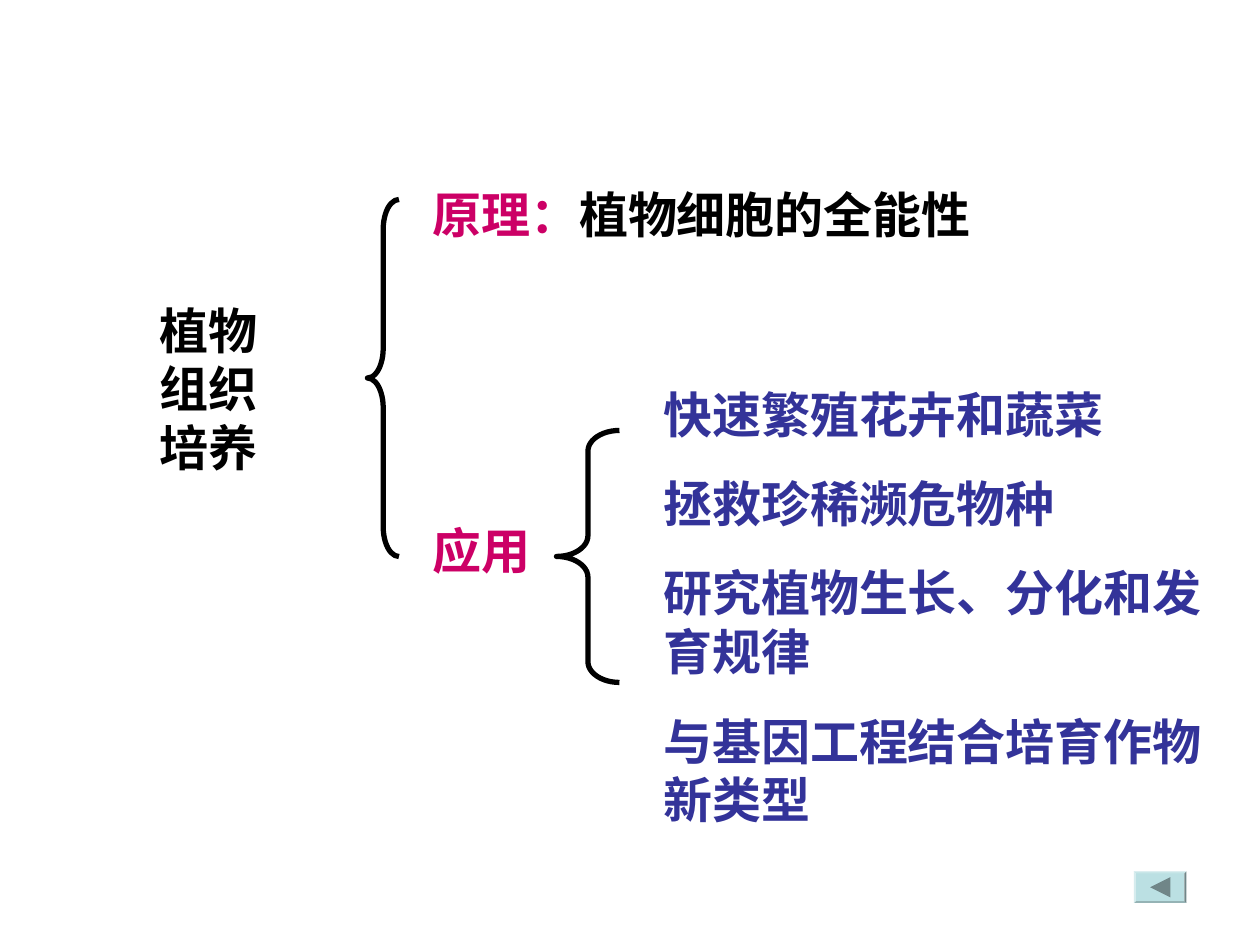
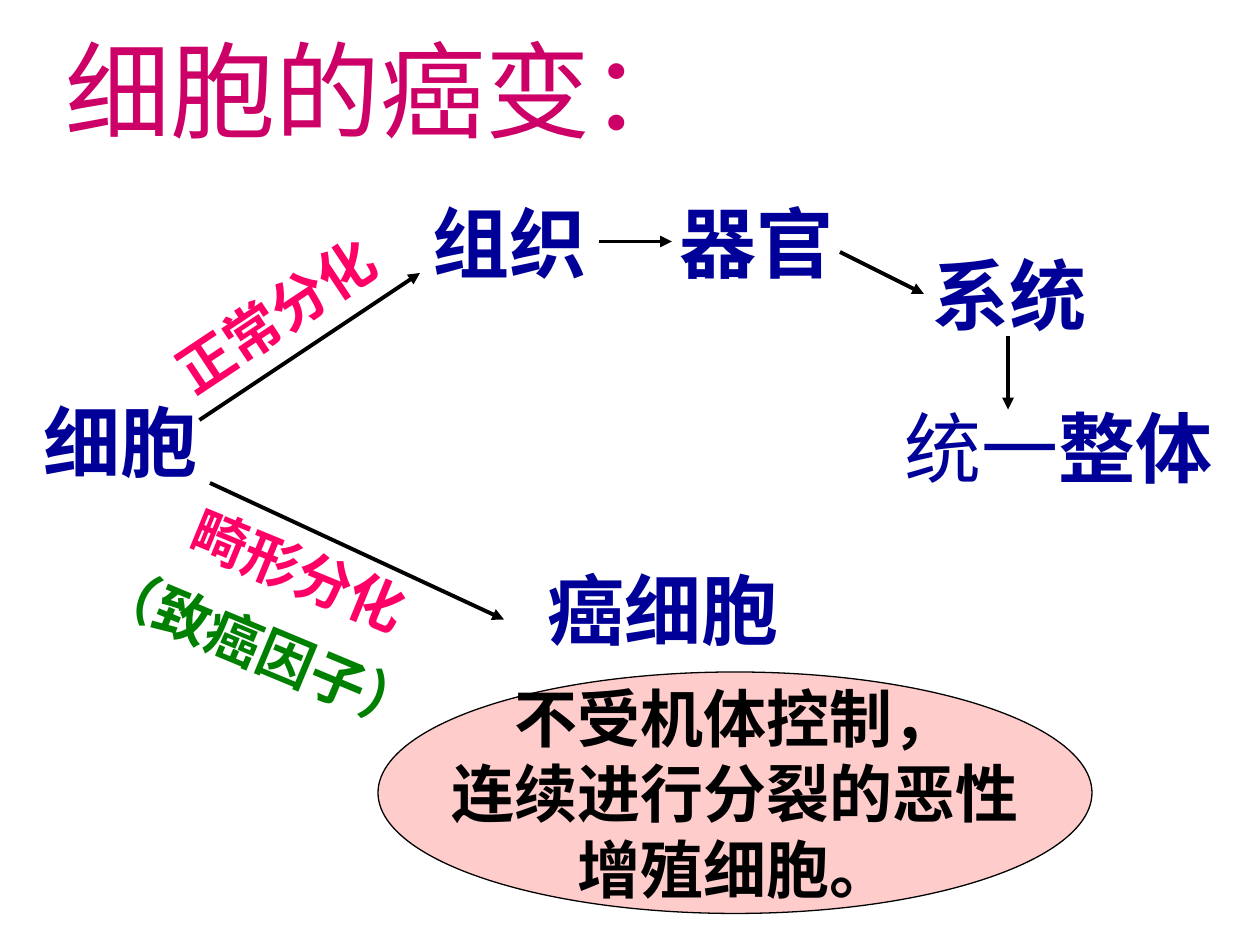
from dataclasses import dataclass

from lxml import etree
from pptx import Presentation
from pptx.dml.color import RGBColor
from pptx.enum import shapes, text
from pptx.oxml import ns
from pptx.util import Pt

BLACK, MAGENTA, INDIGO, NAVY = "000000", "CC0066", "333399", "000099"
PINK, GREEN, ROSE, AQUA, GREY = "FF0066", "008000", "FFCCCC", "BBE0E3", "708688"
SANS, CJK, SERIF = "Arial", "Noto Sans CJK SC", "Times New Roman"
LINE_HEIGHT = 1.2
Kind = shapes.MSO_SHAPE


@dataclass(frozen=True)
class Span:
    wording: str
    color: str
    bold: bool = True


@dataclass(frozen=True)
class Label:
    left: float
    top: float
    width: float
    height: float
    paras: list[list[Span]]
    size: float
    font: str
    space: float = 0
    rotation: float = 0
    indent: float = 0
    wrap: bool = True


@dataclass(frozen=True)
class Brace:
    left: float
    top: float
    width: float
    height: float
    curve: float


@dataclass(frozen=True)
class Arrow:
    x1: float
    y1: float
    x2: float
    y2: float


def color_of(code: str) -> RGBColor:
    return RGBColor.from_string(code)


def apply(target, formats: dict) -> None:
    for name, value in formats.items():
        setattr(target, name, value)


def write(shape, label: Label, align=text.PP_ALIGN.LEFT,
          anchor=text.MSO_ANCHOR.TOP) -> None:
    """Fill a shape with the label's paragraphs."""
    frame = shape.text_frame
    apply(frame, {
        "auto_size": text.MSO_AUTO_SIZE.NONE, "word_wrap": label.wrap,
        "vertical_anchor": anchor,
        "margin_left": Pt(7.2 + label.indent), "margin_right": Pt(7.2),
        "margin_top": Pt(3.6), "margin_bottom": Pt(3.6),
    })
    for index, spans in enumerate(label.paras):
        para = frame.add_paragraph() if index else frame.paragraphs[0]
        apply(para, {
            "alignment": align,
            "line_spacing": Pt(label.size * LINE_HEIGHT),
            "space_before": Pt(label.space if index else 0),
        })
        for span in spans:
            run = para.add_run()
            run.text = span.wording
            apply(run.font, {"size": Pt(label.size), "name": label.font,
                             "bold": span.bold})
            run.font.color.rgb = color_of(span.color)
            east_asian = etree.Element(ns.qn("a:ea"), typeface=CJK)
            run.font._element.find(ns.qn("a:latin")).addnext(east_asian)


def place(shape, label: Label) -> None:
    apply(shape, {"left": Pt(label.left), "top": Pt(label.top),
                  "width": Pt(label.width), "height": Pt(label.height),
                  "rotation": label.rotation})


def add_label(page, label: Label) -> None:
    box = page.shapes.add_textbox(0, 0, 0, 0)
    place(box, label)
    write(box, label)


def add_preset(page, kind, left: float, top: float, width: float, height: float,
               fill: str | None = None, line: float = 0):
    shape = page.shapes.add_shape(kind, Pt(left), Pt(top), Pt(width), Pt(height))
    shape.shadow.inherit = False
    if fill:
        shape.fill.solid()
        shape.fill.fore_color.rgb = color_of(fill)
    else:
        shape.fill.background()
    if line:
        shape.line.width = Pt(line)
        shape.line.color.rgb = color_of(BLACK)
    else:
        shape.line.fill.background()
    return shape


def add_brace(page, brace: Brace) -> None:
    shape = add_preset(page, Kind.LEFT_BRACE, brace.left, brace.top,
                       brace.width, brace.height, line=3)
    shape.adjustments[0] = brace.curve


def add_arrow(page, arrow: Arrow) -> None:
    line = page.shapes.add_connector(
        shapes.MSO_CONNECTOR.STRAIGHT,
        Pt(arrow.x1), Pt(arrow.y1), Pt(arrow.x2), Pt(arrow.y2))
    line.line.width = Pt(2.25)
    line.line.color.rgb = color_of(BLACK)
    etree.SubElement(line.line._get_or_add_ln(), ns.qn("a:tailEnd"), type="triangle")
    etree.SubElement(line._element.spPr, ns.qn("a:effectLst"))


def build_culture(deck) -> None:
    """Summary of plant tissue culture."""
    page = deck.slides.add_slide(deck.slide_layouts[6])
    uses = ["快速繁殖花卉和蔬菜", "拯救珍稀濒危物种",
            "研究植物生长、分化和发育规律", "与基因工程结合培育作物新类型"]
    labels = [
        Label(84, 168, 96, 108, [[Span("植物组织培养", BLACK)]], 28, SANS),
        Label(240, 102, 366, 41,
              [[Span("原理：", MAGENTA), Span("植物细胞的全能性", BLACK)]], 28, SANS),
        Label(240, 294, 72, 41, [[Span("应用", MAGENTA)]], 28, SANS),
        Label(372, 216, 336, 261, [[Span(use, INDIGO)] for use in uses],
              28, SANS, space=17.5),
    ]
    for label in labels:
        add_label(page, label)
    for brace in (Brace(210, 114, 18, 204, 0.94), Brace(318, 246, 36, 144, 0.33)):
        add_brace(page, brace)

    # Back button
    button = add_preset(page, Kind.BEVEL, 648, 498, 30, 18, AQUA)
    button.adjustments[0] = 0.06
    pointer = add_preset(page, Kind.ISOSCELES_TRIANGLE, 657.25, 501.25, 11.5, 11.5, GREY)
    pointer.rotation = 270


def build_cancer(deck) -> None:
    """Normal differentiation against cancerous change."""
    page = deck.slides.add_slide(deck.slide_layouts[5])
    title = Label(30, 11, 546, 79, [[Span("细胞的癌变：", MAGENTA, False)]], 60, SERIF)
    place(page.shapes.title, title)
    write(page.shapes.title, title)

    # Stages
    stages = [
        (18, 222, 104, [Span("细胞", NAVY)]),
        (240, 108, 104, [Span("组织", NAVY)]),
        (381, 108, 123, [Span("器官", NAVY)]),
        (526, 138, 110, [Span("系统", NAVY)]),
        (510, 225.5, 210, [Span("统一", NAVY, False), Span("整体", NAVY)]),
        (306, 318, 156, [Span("癌细胞", NAVY)]),
    ]
    for left, top, width, spans in stages:
        add_label(page, Label(left, top, width, 60.5, [spans], 44, CJK))

    # Definition of a cancer cell
    lines = ["不受机体控制，", "连续进行分裂的恶性", "增殖细胞。"]
    definition = Label(216, 384, 408, 138, [[Span(line, BLACK)] for line in lines],
                       36, CJK, wrap=False)
    oval = add_preset(page, Kind.OVAL, 216, 384, 408, 138, ROSE, 0.75)
    write(oval, definition, text.PP_ALIGN.CENTER, text.MSO_ANCHOR.MIDDLE)

    # Slanted path labels
    paths = [
        Label(84, 150, 168, 46, [[Span("正常分化", PINK)]], 32, CJK, rotation=326.4),
        Label(91, 309.5, 192, 46, [[Span("畸形分化", PINK)]], 32, CJK,
              rotation=22.3, indent=7),
        Label(46, 347, 207, 46, [[Span("（致癌因子）", GREEN)]], 32, CJK,
              rotation=22.6, wrap=False),
    ]
    for label in paths:
        add_label(page, label)

    # Arrows between stages
    arrows = [
        Arrow(114, 240, 240, 156), Arrow(120, 276, 288, 354),
        Arrow(342, 138, 384, 138), Arrow(480, 144, 528, 168),
        Arrow(576, 192, 576, 234),
    ]
    for arrow in arrows:
        add_arrow(page, arrow)


def main() -> None:
    deck = Presentation()
    apply(deck, {"slide_width": Pt(720), "slide_height": Pt(540)})
    build_culture(deck)
    build_cancer(deck)
    deck.save("out.pptx")


if __name__ == "__main__":
    main()
